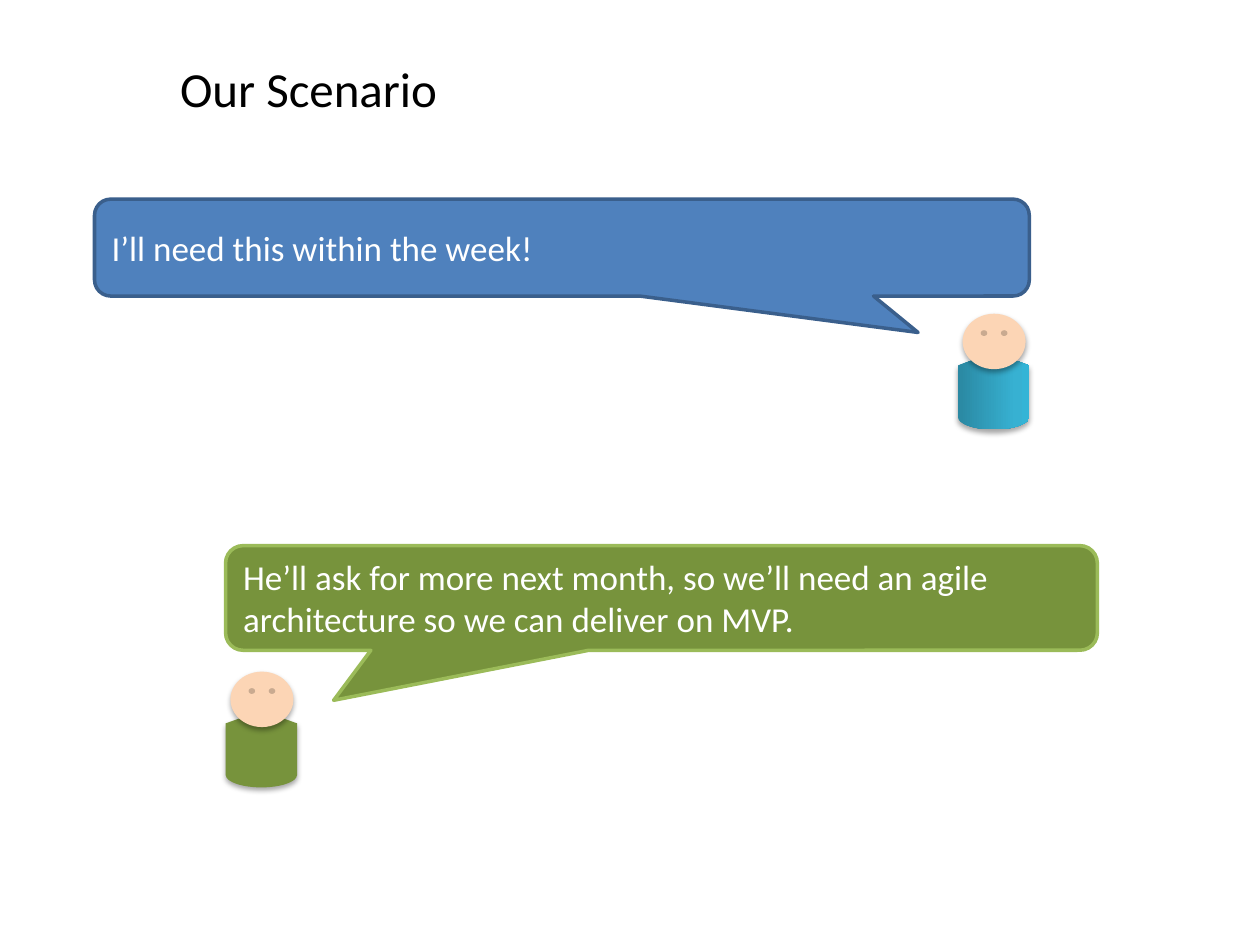
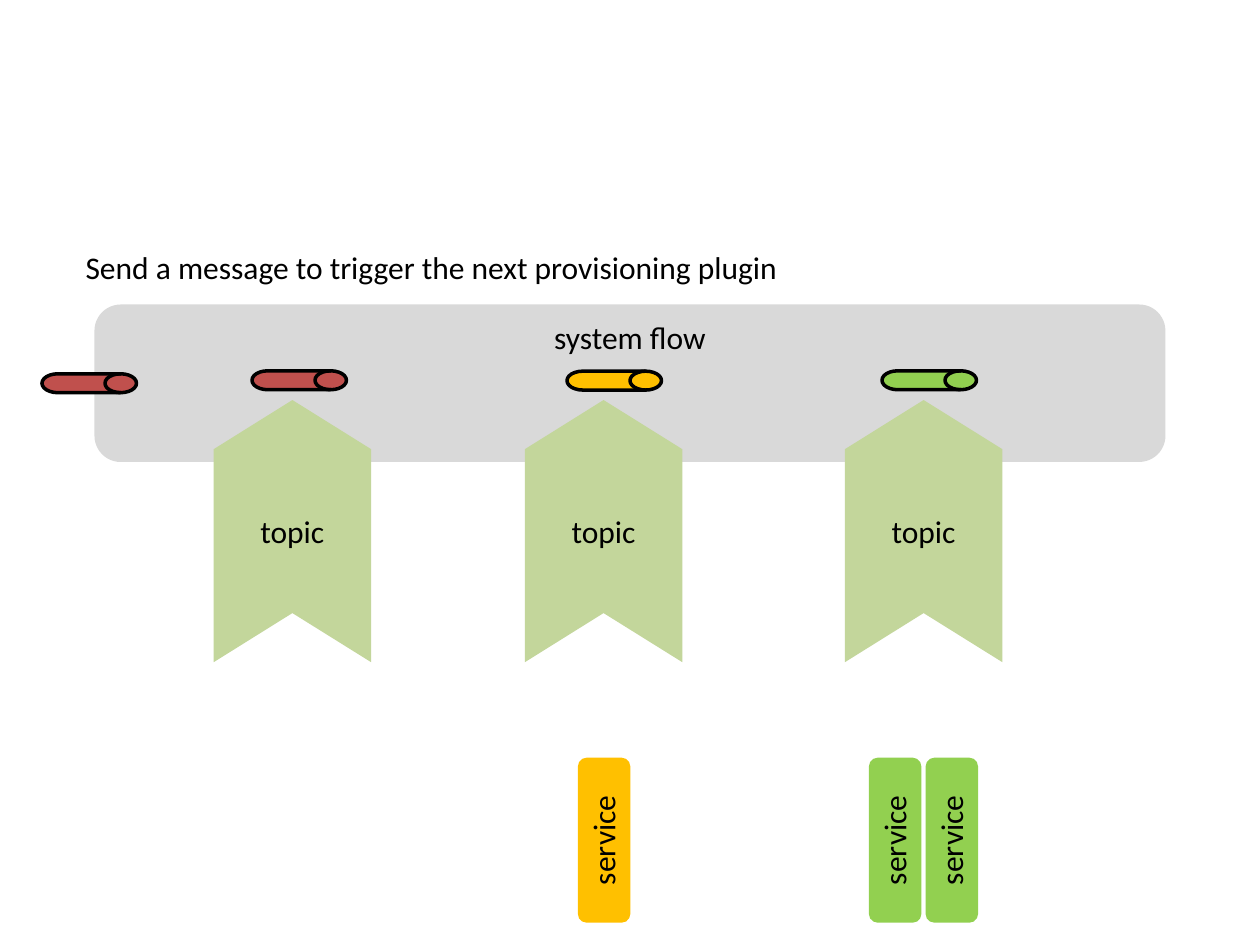
import pptx
import pptx.util
import pptx.dml.color
import pptx.enum.shapes
import pptx.enum.text
import pptx.oxml
import pptx.oxml.ns

Pt = pptx.util.Pt
SHAPE = pptx.enum.shapes.MSO_SHAPE
ANCHOR = pptx.enum.text.MSO_ANCHOR
ALIGN = pptx.enum.text.PP_ALIGN
NS = pptx.oxml.ns.nsdecls("a")

FONT = "Calibri"
BLACK, WHITE, SKIN = "000000", "FFFFFF", "FCD5B5"
RED, AMBER, LIME = "C0504D", "FFC000", "92D050"
OLIVE, BAND, TOPIC = "77933C", "D9D9D9", "C3D69B"
TEAL = [(0, "2A88A2"), (80, "37B1D2"), (100, "34B4D6")]

TITLE = ("Our Scenario", (95.8, 30.2, 581.8, 41), 28)
PEOPLE = [(545.8, 179.3, TEAL), (127.4, 383.8, OLIVE)]
SPEECHES = [
    ("I’ll need this within the week!", (54, 113.8, 534.2, 55.4),
     (0.381, 0.876, 0.167), "4F81BD", "3A5F8C"),
    ("He’ll ask for more next month, so we’ll need an agile architecture "
     "so we can deliver on MVP.", (128.9, 311.8, 498.2, 59.8),
     (-0.376, 0.978, 0.167), OLIVE, "9BBB59"),
]

CAPTION = ("Send a message to trigger the next provisioning plugin",
           (41.8, 138.2, 534.2, 28.8), 18)
FLOW = ("system flow", (54, 174, 612, 90))
TOPIC_LEFTS = [92.2, 270, 452.9]
SERVICES = [(464.4, LIME), (496.8, LIME), (298.1, AMBER)]
MESSAGES = [(24, 213.6, RED), (144, 211.9, RED), (324, 212.1, AMBER), (504, 211.9, LIME)]


def rgb(hex_color):
    return pptx.dml.color.RGBColor.from_string(hex_color)


def write(sp, text, size, color=BLACK, align=ALIGN.LEFT, anchor=ANCHOR.TOP):
    tf = sp.text_frame
    tf.word_wrap = True
    tf.vertical_anchor = anchor
    tf.text = text
    p = tf.paragraphs[0]
    p.alignment = align
    font = p.runs[0].font
    font.name, font.size = FONT, Pt(size)
    font.color.rgb = rgb(color)


def add_label(s, text, box, size):
    write(s.shapes.add_textbox(*map(Pt, box)), text, size)


def add_shape(s, kind, box, fill, line=None, rotation=0, adjustments=()):
    sp = s.shapes.add_shape(kind, *map(Pt, box))
    sp.shadow.inherit = False
    sp.rotation = rotation
    for i, value in enumerate(adjustments):
        sp.adjustments[i] = value
    if isinstance(fill, list):
        fill_gradient(sp, fill)
    else:
        sp.fill.solid()
        sp.fill.fore_color.rgb = rgb(fill)
    if line:
        sp.line.color.rgb = rgb(line)
        sp.line.width = Pt(2)
    else:
        sp.line.fill.background()
    return sp


def fill_gradient(sp, stops):
    sp.fill.gradient()
    sp.fill.gradient_angle = 90
    gs_list = next(sp.element.spPr.iter(pptx.oxml.ns.qn("a:gsLst")))
    for gs in list(gs_list):
        gs_list.remove(gs)
    for position, color in stops:
        gs_list.append(pptx.oxml.parse_xml(
            f'<a:gs {NS} pos="{position * 1000}"><a:srgbClr val="{color}"/></a:gs>'))


def drop_shadow(sp):
    effects = sp.element.spPr.find(pptx.oxml.ns.qn("a:effectLst"))
    effects.append(pptx.oxml.parse_xml(
        f'<a:outerShdw {NS} blurRad="{Pt(3.1)}" dist="{Pt(1.8)}" dir="5400000" '
        'rotWithShape="0"><a:srgbClr val="000000"><a:alpha val="35000"/>'
        '</a:srgbClr></a:outerShdw>'))


def add_person(s, left, top, color):
    body = (left, top + 23.7, 43.9, 41)
    head = (left + 4.3, top, 36, 31.7)
    drop_shadow(add_shape(s, SHAPE.FLOWCHART_DISPLAY, body, color, rotation=90))
    drop_shadow(add_shape(s, SHAPE.SMILEY_FACE, head, SKIN))


def build_scenario(s):
    add_label(s, *TITLE)
    for person, speech in zip(PEOPLE, SPEECHES):
        add_person(s, *person)
        text, box, tail, fill, line = speech
        sp = add_shape(s, SHAPE.ROUNDED_RECTANGULAR_CALLOUT, box, fill, line,
                       adjustments=tail)
        write(sp, text, 20, WHITE, anchor=ANCHOR.MIDDLE)


def build_flow(s):
    add_label(s, *CAPTION)
    for left, color in SERVICES:
        sp = add_shape(s, SHAPE.ROUNDED_RECTANGLE, (left, 465.1, 94.3, 30), color,
                       rotation=270)
        write(sp, "service", 18, align=ALIGN.CENTER, anchor=ANCHOR.BOTTOM)
    text, box = FLOW
    write(add_shape(s, SHAPE.ROUNDED_RECTANGLE, box, BAND), text, 18, align=ALIGN.CENTER)
    for left in TOPIC_LEFTS:
        sp = add_shape(s, SHAPE.CHEVRON, (left, 258.5, 149.8, 90), TOPIC,
                       rotation=270, adjustments=[0.312])
        write(sp, "topic", 18, align=ALIGN.CENTER, anchor=ANCHOR.MIDDLE)
        sp.text_frame._txBody.bodyPr.set("vert", "vert")
    for left, top, color in MESSAGES:
        add_shape(s, SHAPE.FLOWCHART_DIRECT_ACCESS_STORAGE, (left, top, 54, 10.8),
                  color, BLACK)


def main():
    prs = pptx.Presentation()
    prs.slide_width, prs.slide_height = Pt(720), Pt(540)
    for build in (build_scenario, build_flow):
        build(prs.slides.add_slide(prs.slide_layouts[6]))
    prs.save("out.pptx")


if __name__ == "__main__":
    main()
